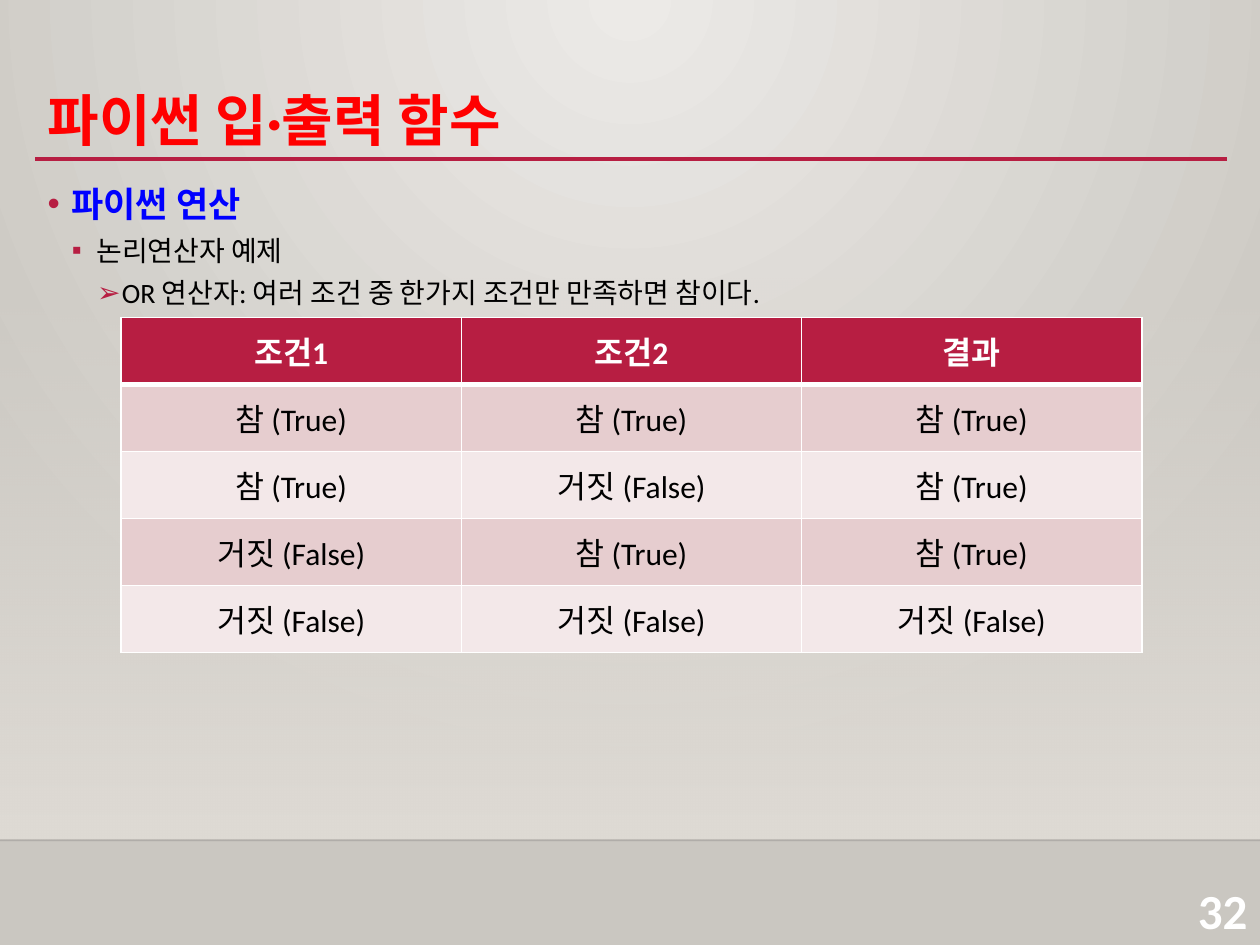
from dataclasses import dataclass

from lxml import etree
from pptx import Presentation
from pptx.dml.color import RGBColor
from pptx.enum.shapes import MSO_CONNECTOR, MSO_SHAPE
from pptx.enum.text import MSO_ANCHOR, MSO_AUTO_SIZE, PP_ALIGN
from pptx.oxml import parse_xml
from pptx.oxml.ns import nsdecls, qn
from pptx.util import Cm, Pt

STRAIGHT, RECT = MSO_CONNECTOR.STRAIGHT, MSO_SHAPE.RECTANGLE
BOTTOM, MIDDLE, TOP = MSO_ANCHOR.BOTTOM, MSO_ANCHOR.MIDDLE, MSO_ANCHOR.TOP
LEFT, CENTER, RIGHT = PP_ALIGN.LEFT, PP_ALIGN.CENTER, PP_ALIGN.RIGHT

FONT = "Calibri"
CRIMSON, WHITE, BLACK = "B71E42", "FFFFFF", "000000"
BANDS = ("E6CDCF", "F3E8E9")
WIDTH, HEIGHT = 25.4, 19.05
FLOOR_Y = 16.94
MARGIN, CONTENT_W = 0.71, 24


@dataclass
class Bullet:
    text: str
    mark: str
    indent: float
    before: float
    size: float
    color: str = BLACK
    bold: bool = False


@dataclass
class Rule:
    x1: float
    x2: float
    y: float
    color: str
    width: float
    opacity: int = 100


TRUE, FALSE = "참 (True)", "거짓 (False)"
HEADERS = ("조건1", "조건2", "결과")
TRUTH = ((True, True), (True, False), (False, True), (False, False))
BULLETS = (
    Bullet("파이썬 연산", "•", 0.48, 10, 20, "0000FF", True),
    Bullet("논리연산자 예제", "▪", 0.99, 5, 16),
    Bullet("OR 연산자: 여러 조건 중 한가지 조건만 만족하면 참이다.", "➢", 1.5, 5, 16),
)
RULES = (
    Rule(0, WIDTH, FLOOR_Y, "000001", 1, 20),
    Rule(MARGIN, 24.74, 3.2, CRIMSON, 2.5),
)


def rgb(color: str) -> RGBColor:
    return RGBColor.from_string(color)


def write(p, text: str, *, size: float, color: str, bold: bool = False, align=LEFT) -> None:
    p.alignment = align
    r = p.add_run()
    r.text = text
    r.font.name, r.font.size, r.font.bold = FONT, Pt(size), bold
    r.font.color.rgb = rgb(color)


def set_gradient(parent, stops: tuple, direction: str) -> None:
    """Replace a solid fill by a gradient; stops are (position, color, opacity) in percent."""
    gs = "".join(
        f'<a:gs pos="{pos * 1000}"><a:srgbClr val="{color}">'
        f'<a:alpha val="{opacity * 1000}"/></a:srgbClr></a:gs>'
        for pos, color, opacity in stops
    )
    grad = parse_xml(
        f'<a:gradFill {nsdecls("a")} rotWithShape="1"><a:gsLst>{gs}</a:gsLst>{direction}</a:gradFill>'
    )
    parent.replace(parent.find(qn("a:solidFill")), grad)


def add_rule(s, rule: Rule) -> None:
    line = s.shapes.add_connector(STRAIGHT, Cm(rule.x1), Cm(rule.y), Cm(rule.x2), Cm(rule.y))
    line.line.color.rgb = rgb(rule.color)
    line.line.width = Pt(rule.width)
    spPr = line._element.spPr
    if rule.opacity < 100:
        clr = next(spPr.iter(qn("a:srgbClr")))
        etree.SubElement(clr, qn("a:alpha"), val=str(rule.opacity * 1000))
    etree.SubElement(spPr, qn("a:effectLst"))


def add_text_box(s, x: float, y: float, w: float, h: float, anchor=TOP):
    tf = s.shapes.add_textbox(Cm(x), Cm(y), Cm(w), Cm(h)).text_frame
    tf.word_wrap = True
    tf.vertical_anchor = anchor
    return tf


def add_bullet(p, item: Bullet) -> None:
    write(p, item.text, size=item.size, color=item.color, bold=item.bold)
    p.space_before = Pt(item.before)
    pPr = p._p.get_or_add_pPr()
    pPr.set("marL", str(Cm(item.indent)))
    pPr.set("indent", str(-Cm(0.5 if item.indent > 0.5 else item.indent)))
    clr = etree.SubElement(pPr, qn("a:buClr"))
    etree.SubElement(clr, qn("a:srgbClr"), val=CRIMSON)
    etree.SubElement(pPr, qn("a:buFont"), typeface="Arial")
    etree.SubElement(pPr, qn("a:buChar"), char=item.mark)


def set_borders(cell, **widths: float) -> None:
    tcPr = cell._tc.get_or_add_tcPr()
    for i, (side, width) in enumerate(widths.items()):
        tcPr.insert(i, parse_xml(
            f'<a:ln{side} {nsdecls("a")} w="{Pt(width)}"><a:solidFill>'
            f'<a:srgbClr val="{WHITE}"/></a:solidFill></a:ln{side}>'
        ))


def add_truth_table(s, x: float, y: float, col_w: float, row_h: float) -> None:
    rows = [HEADERS] + [
        tuple(TRUE if v else FALSE for v in (a, b, a or b)) for a, b in TRUTH
    ]
    n_rows, n_cols = len(rows), len(HEADERS)
    table = s.shapes.add_table(
        n_rows, n_cols, Cm(x), Cm(y), Cm(col_w * n_cols), Cm(row_h * n_rows)
    ).table
    for col in table.columns:
        col.width = Cm(col_w)
    for i, texts in enumerate(rows):
        header = i == 0
        table.rows[i].height = Cm(row_h)
        for j, text in enumerate(texts):
            cell = table.cell(i, j)
            cell.vertical_anchor = MIDDLE
            cell.fill.solid()
            cell.fill.fore_color.rgb = rgb(CRIMSON if header else BANDS[(i - 1) % 2])
            set_borders(cell, L=1, R=1, T=3 if i == 1 else 1, B=3 if header else 1)
            write(cell.text_frame.paragraphs[0], text, size=18, bold=header,
                  color=WHITE if header else BLACK, align=CENTER)


def main() -> None:
    prs = Presentation()
    prs.slide_width, prs.slide_height = Cm(WIDTH), Cm(HEIGHT)
    s = prs.slides.add_slide(prs.slide_layouts[5])

    # Background: radial glow from the top, with a wall fading in above the floor
    s.background.fill.solid()
    set_gradient(
        s._element.find(".//" + qn("p:bgPr")),
        ((0, "ECEAE7", 100), (100, "CAC7C1", 100)),
        '<a:path path="circle"><a:fillToRect l="43000" t="0" r="43000" b="100000"/></a:path>',
    )
    wall = s.shapes.add_shape(RECT, 0, Cm(5.59), Cm(WIDTH), Cm(FLOOR_Y - 5.59))
    wall.shadow.inherit = False
    wall.line.fill.background()
    wall.fill.solid()
    set_gradient(
        wall._element.spPr,
        ((0, "DFDBD5", 0), (100, "DFDBD5", 100)),
        '<a:lin ang="5400000" scaled="0"/>',
    )
    for rule in RULES:
        add_rule(s, rule)

    # Slide number
    tf = add_text_box(s, 23.19, 17.65, 2.21, 1.4, MIDDLE)
    write(tf.paragraphs[0], "32", size=28, color=WHITE, bold=True, align=RIGHT)

    # Title
    title = s.shapes.title
    title.left, title.top, title.width, title.height = Cm(MARGIN), Cm(0.28), Cm(CONTENT_W), Cm(2.92)
    tf = title.text_frame
    tf.auto_size = MSO_AUTO_SIZE.NONE
    tf.vertical_anchor = BOTTOM
    p = tf.paragraphs[0]
    p.line_spacing = 1.5
    write(p, "파이썬 입·출력 함수", size=32, color="FF0000", bold=True)

    # Bulleted text
    tf = add_text_box(s, MARGIN, 3.56, CONTENT_W, 13.26)
    for i, item in enumerate(BULLETS):
        add_bullet(tf.add_paragraph() if i else tf.paragraphs[0], item)

    # Truth table of the OR operator
    add_truth_table(s, 2.44, 6.4, 6.86, 1.35)

    prs.save("out.pptx")


if __name__ == "__main__":
    main()
